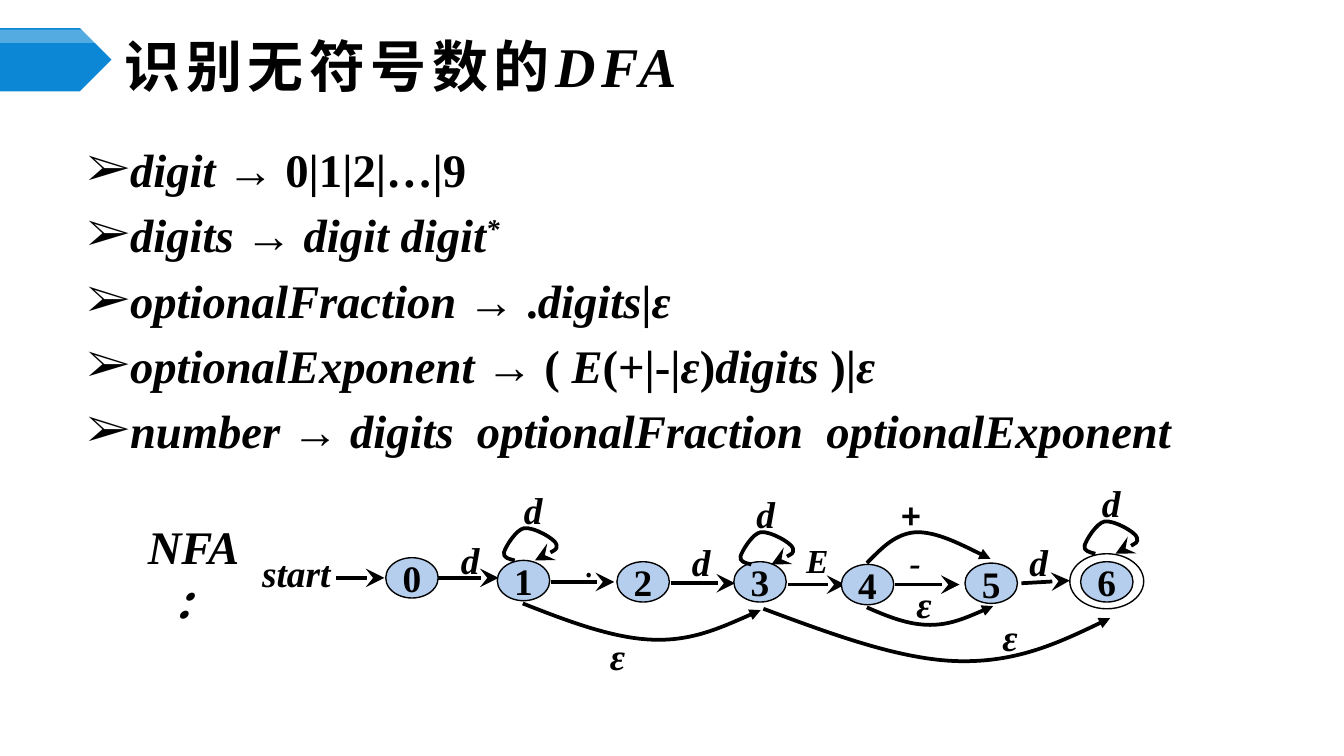
from typing import NamedTuple

from lxml.etree import SubElement
from pptx import Presentation
from pptx.dml.color import RGBColor
from pptx.enum.shapes import MSO_CONNECTOR, MSO_SHAPE
from pptx.enum.text import MSO_ANCHOR, PP_ALIGN
from pptx.oxml.ns import qn
from pptx.util import Inches, Pt

BLACK = RGBColor(0x00, 0x00, 0x00)
WHITE = RGBColor(0xFF, 0xFF, 0xFF)
STATE_BLUE = RGBColor(0xB5, 0xCE, 0xED)
BANNER_BLUE = RGBColor(0x0B, 0x87, 0xD6)
SERIF = "Times New Roman"
SANS = "Noto Sans CJK SC"
SLIDE_W = 10
SLIDE_H = SLIDE_W * 9 / 16
STATE_W, STATE_H = 0.39, 0.3

Point = tuple[float, float]


class State(NamedTuple):
    name: str
    left: float
    top: float


class Label(NamedTuple):
    text: str
    left: float
    top: float
    width: float = 0.55
    height: float = 0.24
    size: float = 20
    font: str = SERIF
    bold: bool = True
    italic: bool = True
    align: PP_ALIGN = PP_ALIGN.LEFT
    wrap: bool = False
    inset: float = 0.1


# Runs alternate between italic and upright, beginning with italic.
GRAMMAR = [
    ["digit ", "→ 0|1|2|…|9"],
    ["digits ", "→ ", "digit digit"],
    ["optionalFraction ", "→ .", "digits", "|", "ε"],
    ["optionalExponent ", "→ ( ", "E", "(+|-|", "ε", ")", "digits ", ")|", "ε"],
    ["number", " → ", "digits  optionalFraction  optionalExponent"],
]
STARRED_RULE = 1

STATES = [
    State("0", 2.87, 4.15), State("1", 3.7, 4.17), State("2", 4.59, 4.18),
    State("3", 5.46, 4.18), State("4", 6.26, 4.2), State("5", 7.18, 4.19),
    State("6", 8.04, 4.18),
]
STRAIGHT_EDGES = [
    ((2.5, 4.3), (2.86, 4.3)), ((3.26, 4.3), (3.71, 4.3)),
    ((4.1, 4.33), (4.57, 4.33)), ((4.99, 4.34), (5.47, 4.34)),
    ((5.86, 4.35), (6.29, 4.35)), ((6.66, 4.35), (7.14, 4.35)),
    ((7.6, 4.34), (7.96, 4.32)),
]
# A start point followed by three Bézier points per segment.
SKIP_EDGES = [
    [(3.89, 4.49), (4.22, 4.62), (4.56, 4.75), (4.86, 4.76),
     (5.15, 4.77), (5.41, 4.65), (5.66, 4.54)],
    [(6.45, 4.19), (6.56, 4.08), (6.66, 3.97), (6.82, 3.96),
     (6.97, 3.96), (7.17, 4.06), (7.37, 4.16)],
    [(6.45, 4.52), (6.61, 4.59), (6.76, 4.65), (6.92, 4.65),
     (7.07, 4.65), (7.23, 4.58), (7.39, 4.51)],
    [(5.68, 4.53), (6.19, 4.72), (6.7, 4.91), (7.13, 4.92),
     (7.56, 4.93), (7.91, 4.77), (8.26, 4.6)],
]
LOOP_STARTS = [(3.83, 4.17), (5.59, 4.2), (8.15, 4.12)]
LOOP_OFFSETS = [
    (0, 0), (-0.04, -0.01), (-0.09, -0.02), (-0.08, -0.06),
    (-0.07, -0.1), (0.01, -0.23), (0.07, -0.24),
    (0.14, -0.25), (0.3, -0.16), (0.31, -0.12),
    (0.32, -0.08), (0.24, -0.04), (0.15, 0),
]
LABELS = [
    Label("d", 3.33, 4.04), Label("d", 5.05, 4.06), Label("d", 7.56, 4.06),
    Label("d", 3.8, 3.67), Label("d", 5.53, 3.7), Label("d", 8.1, 3.62),
    Label("ε", 4.44, 4.76), Label("ε", 6.72, 4.37, 0.46), Label("ε", 7.36, 4.62, 0.46),
    Label(".", 4.25, 4.08, size=18, font=SANS, bold=False, italic=False),
    Label("+", 6.61, 3.72, 0.87, size=18, font=SANS, italic=False),
    Label("E", 5.9, 4.06, 0.44, 0.21, size=18),
    Label("-", 6.67, 4.06, size=18),
    Label("start", 1.93, 4.14, align=PP_ALIGN.CENTER, inset=0),
    Label("NFA：", 0.93, 4.08, 1.02, 0.38, size=25, align=PP_ALIGN.CENTER, wrap=True),
]


def format_run(run, size: float, font: str = SERIF, bold: bool = True, italic: bool = False) -> None:
    run.font.size, run.font.name = Pt(size), font
    run.font.bold, run.font.italic = bold, italic
    run.font.color.rgb = BLACK
    SubElement(run._r.get_or_add_rPr(), qn("a:ea"), typeface=font)


def add_text_frame(slide, left: float, top: float, width: float, height: float):
    box = slide.shapes.add_textbox(Inches(left), Inches(top), Inches(width), Inches(height))
    box.text_frame.word_wrap = True
    return box.text_frame


def add_label(slide, label: Label) -> None:
    frame = add_text_frame(slide, label.left, label.top, label.width, label.height)
    frame.text = label.text
    frame.word_wrap = label.wrap
    frame.margin_left = frame.margin_right = Inches(label.inset)
    frame.vertical_anchor = MSO_ANCHOR.MIDDLE
    frame.paragraphs[0].alignment = label.align
    format_run(frame.paragraphs[0].runs[0], label.size, label.font, label.bold, label.italic)


def add_preset(slide, kind: MSO_SHAPE, left: float, top: float, width: float, height: float,
               fill: RGBColor | None, outlined: bool):
    shape = slide.shapes.add_shape(kind, Inches(left), Inches(top), Inches(width), Inches(height))
    shape.shadow.inherit = False
    if fill is None:
        shape.fill.background()
    else:
        shape.fill.solid()
        shape.fill.fore_color.rgb = fill
    if outlined:
        shape.line.color.rgb = BLACK
        shape.line.width = Pt(0.75)
    else:
        shape.line.fill.background()
    return shape


def add_state(slide, state: State) -> None:
    circle = add_preset(slide, MSO_SHAPE.OVAL, state.left, state.top, STATE_W, STATE_H, STATE_BLUE, True)
    frame = circle.text_frame
    frame.text = state.name
    frame.word_wrap = False
    frame.vertical_anchor = MSO_ANCHOR.MIDDLE
    frame.paragraphs[0].alignment = PP_ALIGN.CENTER
    format_run(frame.paragraphs[0].runs[0], 20)


def style_edge(edge, arrowhead: str) -> None:
    edge.line.color.rgb = BLACK
    edge.line.width = Pt(2)
    size = "lg" if arrowhead == "stealth" else "med"
    SubElement(edge.line._get_or_add_ln(), qn("a:tailEnd"), type=arrowhead, w=size, len=size)


def add_straight_edge(slide, start: Point, end: Point) -> None:
    edge = slide.shapes.add_connector(MSO_CONNECTOR.STRAIGHT, *map(Inches, start + end))
    style_edge(edge, "stealth")
    SubElement(edge._element.spPr, qn("a:effectLst"))


def add_curved_edge(slide, points: list[Point], arrowhead: str) -> None:
    """Draw a freeform whose vertices are merged three by three into Bézier segments."""
    start, *rest = [(Inches(x), Inches(y)) for x, y in points]
    builder = slide.shapes.build_freeform(*start)
    builder.add_line_segments(rest, close=False)
    edge = builder.convert_to_shape()
    vertices = list(edge._element.iter(qn("a:lnTo")))
    for first, second, third in zip(vertices[::3], vertices[1::3], vertices[2::3]):
        first.tag = qn("a:cubicBezTo")
        for vertex in (second, third):
            first.append(vertex[0])
            vertex.getparent().remove(vertex)
    edge.shadow.inherit = False
    edge.fill.background()
    style_edge(edge, arrowhead)


def add_banner(slide) -> None:
    add_preset(slide, MSO_SHAPE.PENTAGON, 0, 0.21, 0.83, 0.47, BANNER_BLUE, False)
    sheen = add_preset(slide, MSO_SHAPE.PENTAGON, 0, 0.22, 0.83, 0.1, WHITE, False)
    color = next(sheen._element.spPr.iter(qn("a:srgbClr")))
    SubElement(color, qn("a:alpha"), val="30000")


def add_title(slide) -> None:
    frame = add_text_frame(slide, 0.83, 0.29, 8.67, 0.39)
    frame.vertical_anchor = MSO_ANCHOR.MIDDLE
    for text, font, italic in (("识别无符号数的", SANS, False), ("DFA", SERIF, True)):
        run = frame.paragraphs[0].add_run()
        run.text = text
        format_run(run, 30, font, italic=italic)
        run._r.get_or_add_rPr().set("spc", "300")


def add_grammar(slide) -> None:
    frame = add_text_frame(slide, 0.55, 1, 8.29, 2.59)
    for index, parts in enumerate(GRAMMAR):
        rule = frame.add_paragraph() if index else frame.paragraphs[0]
        properties = rule._p.get_or_add_pPr()
        properties.set("marL", str(Inches(0.3)))
        properties.set("indent", str(Inches(-0.3)))
        SubElement(properties, qn("a:buFont"), typeface=SERIF)
        SubElement(properties, qn("a:buChar"), char="➢")
        rule.space_before = Pt(5 if index else 0)
        for position, part in enumerate(parts):
            run = rule.add_run()
            run.text = part
            format_run(run, 25, italic=position % 2 == 0)
    star = frame.paragraphs[STARRED_RULE].add_run()
    star.text = "*"
    format_run(star, 25, italic=True)
    star._r.get_or_add_rPr().set("baseline", "30000")


def main() -> None:
    deck = Presentation()
    deck.slide_width, deck.slide_height = Inches(SLIDE_W), Inches(SLIDE_H)
    slide = deck.slides.add_slide(deck.slide_layouts[6])
    add_banner(slide)
    add_title(slide)
    add_grammar(slide)
    for start, end in STRAIGHT_EDGES:
        add_straight_edge(slide, start, end)
    add_preset(slide, MSO_SHAPE.OVAL, 7.96, 4.12, 0.55, 0.41, None, True)
    for state in STATES:
        add_state(slide, state)
    for points in SKIP_EDGES:
        add_curved_edge(slide, points, "triangle")
    for x, y in LOOP_STARTS:
        add_curved_edge(slide, [(x + dx, y + dy) for dx, dy in LOOP_OFFSETS], "stealth")
    for label in LABELS:
        add_label(slide, label)
    deck.save("out.pptx")


if __name__ == "__main__":
    main()
